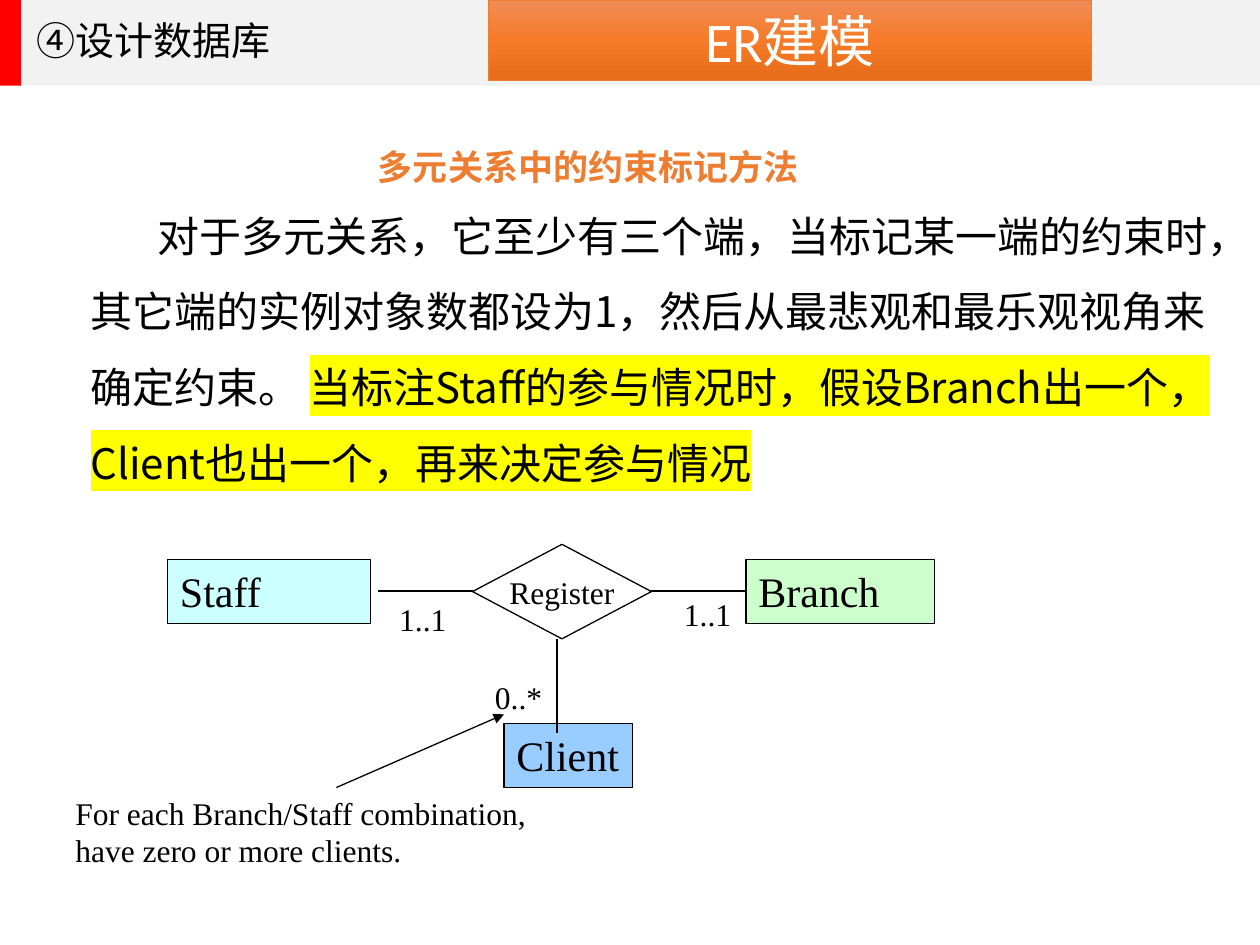
from copy import deepcopy
from dataclasses import dataclass

from lxml import etree
from pptx import Presentation, util as u
from pptx.dml.color import RGBColor
from pptx.enum import shapes, text
from pptx.oxml.ns import qn

PX = u.Inches(1) // 100


@dataclass(frozen=True)
class Theme:
    ink: str = "000000"
    white: str = "FFFFFF"
    accent: str = "ED7D31"
    red: str = "FF0000"
    band: str = "F2F2F2"
    marker: str = "FFFF00"
    staff: str = "CCFFFF"
    branch: str = "CCFFCC"
    client: str = "99CCFF"
    banner: tuple = ((0, "F18C57"), (0.5, "F67B28"), (1, "E56C19"))
    heading_font: str = "Calibri"
    body_font: str = "Noto Sans CJK SC"
    diagram_font: str = "Times New Roman"
    title_size: float = 22.3
    banner_size: int = 32
    subtitle_size: int = 20
    body_size: int = 24
    label_size: int = 18


class SlideBuilder:
    def __init__(self, theme, slide):
        self.theme = theme
        self.slide = slide

    def box(self, at):
        return [n * PX for n in at]

    def font(self, run, size, face, color, bold=False):
        run.font.size = u.Pt(size)
        run.font.bold = bold
        run.font.name = face
        run.font.color.rgb = RGBColor.from_string(color)
        if face != self.theme.diagram_font:
            east = etree.SubElement(run._r.get_or_add_rPr(), qn("a:ea"))
            east.set("typeface", self.theme.body_font)

    def fill_text(self, shape, words, size, face, color=None, bold=False,
                  align=text.PP_ALIGN.LEFT, anchor=text.MSO_ANCHOR.TOP, wrap=False):
        frame = shape.text_frame
        frame.text = words
        frame.word_wrap = wrap
        frame.auto_size = text.MSO_AUTO_SIZE.NONE
        frame.vertical_anchor = anchor
        for paragraph in frame.paragraphs:
            paragraph.alignment = align
            for run in paragraph.runs:
                self.font(run, size, face, color or self.theme.ink, bold)
        return frame

    def title(self, at, words):
        title = self.slide.shapes.title
        self.slide.shapes._spTree.append(title._element)
        title.left, title.top, title.width, title.height = self.box(at)
        frame = self.fill_text(title, words, self.theme.title_size,
                               self.theme.heading_font, wrap=True)
        frame.paragraphs[0].line_spacing = 0.7

    def shape(self, at, fill=None, line=None, weight=0.75,
              kind=shapes.MSO_SHAPE.RECTANGLE):
        shape = self.slide.shapes.add_shape(kind, *self.box(at))
        shape.shadow.inherit = False
        if fill:
            shape.fill.solid()
            shape.fill.fore_color.rgb = RGBColor.from_string(fill)
        else:
            shape.fill.background()
        if line:
            shape.line.color.rgb = RGBColor.from_string(line)
            shape.line.width = u.Pt(weight)
        else:
            shape.line.fill.background()
        return shape

    def banner(self, at, words):
        banner = self.shape(at, line=self.theme.accent, weight=0.5)
        banner.fill.gradient()
        banner.fill.gradient_angle = 270
        stops = banner._element.spPr.find(".//" + qn("a:gsLst"))
        stops.append(deepcopy(stops[0]))
        for stop, (position, color) in zip(banner.fill.gradient_stops, self.theme.banner):
            stop.position = position
            stop.color.rgb = RGBColor.from_string(color)
        self.fill_text(banner, words, self.theme.banner_size, self.theme.heading_font,
                       self.theme.white, align=text.PP_ALIGN.CENTER, wrap=True)

    def entity(self, at, name, fill, wrap=True):
        self.fill_text(self.shape(at, fill, self.theme.ink), name,
                       self.theme.body_size, self.theme.diagram_font, wrap=wrap)

    def relationship(self, at, name):
        diamond = self.shape(at, line=self.theme.ink, kind=shapes.MSO_SHAPE.DIAMOND)
        self.fill_text(diamond, name, self.theme.label_size, self.theme.diagram_font,
                       align=text.PP_ALIGN.CENTER, anchor=text.MSO_ANCHOR.MIDDLE)

    def label(self, at, words):
        self.fill_text(self.slide.shapes.add_textbox(*self.box(at)), words,
                       self.theme.label_size, self.theme.diagram_font)

    def subtitle(self, at, words):
        self.fill_text(self.slide.shapes.add_textbox(*self.box(at)), words,
                       self.theme.subtitle_size, self.theme.body_font, self.theme.accent,
                       bold=True, align=text.PP_ALIGN.CENTER,
                       anchor=text.MSO_ANCHOR.MIDDLE, wrap=True)

    def body(self, at, plain, marked):
        style = self.theme
        frame = self.fill_text(self.slide.shapes.add_textbox(*self.box(at)), plain,
                               style.body_size, style.body_font, wrap=True)
        paragraph = frame.paragraphs[0]
        paragraph.line_spacing = 1.5
        paragraph._p.get_or_add_pPr().set("indent", str(53 * PX))
        run = paragraph.add_run()
        run.text = marked
        self.font(run, style.body_size, style.body_font, style.ink)
        highlight = etree.Element(qn("a:highlight"))
        etree.SubElement(highlight, qn("a:srgbClr")).set("val", style.marker)
        run._r.rPr.find(qn("a:solidFill")).addnext(highlight)

    def line(self, start, end, arrow=False):
        line = self.slide.shapes.add_connector(
            shapes.MSO_CONNECTOR.STRAIGHT, *self.box(start + end))
        line.line.color.rgb = RGBColor.from_string(self.theme.ink)
        line.line.width = u.Pt(0.75)
        properties = line._element.spPr
        if arrow:
            tail = etree.SubElement(properties.find(qn("a:ln")), qn("a:tailEnd"))
            tail.set("type", "triangle")
        etree.SubElement(properties, qn("a:effectLst"))


def main():
    deck = Presentation()
    deck.slide_width, deck.slide_height = 1000 * PX, 750 * PX
    theme = Theme()
    page = SlideBuilder(theme, deck.slides.add_slide(deck.slide_layouts[5]))

    page.shape((0, 0, 17, 68), theme.red)
    page.shape((17, 0, 983, 68), theme.band)
    page.title((19, 18, 737, 38), "④设计数据库")
    page.banner((388, 0, 478, 64), "ER建模")
    page.subtitle((275, 103, 384, 58), "多元关系中的约束标记方法")
    page.body(
        (62, 142, 938, 251),
        "对于多元关系，它至少有三个端，当标记某一端的约束时，其它端的实例对象数都设为1，"
        "然后从最悲观和最乐观视角来确定约束。 ",
        "当标注Staff的参与情况时，假设Branch出一个，Client也出一个，再来决定参与情况")

    page.entity((133, 444, 161, 51), "Staff", theme.staff)
    page.relationship((375, 432, 142, 75), "Register")
    page.entity((592, 444, 150, 51), "Branch", theme.branch)
    page.entity((400, 574, 102, 51), "Client", theme.client, wrap=False)
    for start, end in (((300, 469), (375, 469)),
                       ((517, 469), (592, 469)),
                       ((442, 507), (442, 582))):
        page.line(start, end)

    for left, top, multiplicity in ((307, 471, "1..1"), (533, 467, "1..1"),
                                    (383, 533, "0..*")):
        page.label((left, top, 58, 40), multiplicity)
    page.label((50, 625, 378, 70),
               "For each Branch/Staff combination,\nhave zero or more clients.")
    page.line((267, 625), (400, 567), arrow=True)

    deck.save("out.pptx")


if __name__ == "__main__":
    main()
